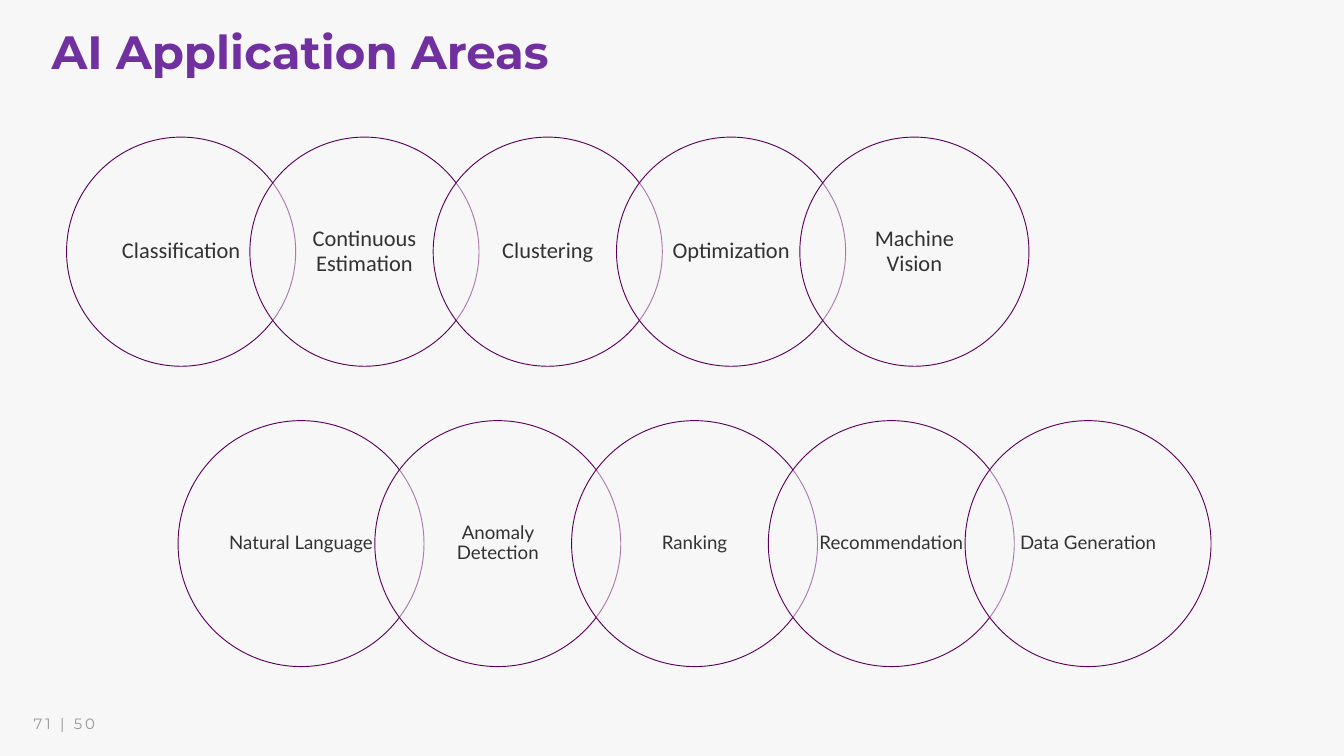
from lxml.etree import SubElement
from pptx import Presentation
from pptx.dml.color import RGBColor
from pptx.enum.shapes import MSO_SHAPE as SHAPE
from pptx.enum.text import MSO_ANCHOR as ANCHOR, MSO_AUTO_SIZE as AUTO, PP_ALIGN as ALIGN
from pptx.oxml.ns import qn
from pptx.util import Emu, Pt

SCALE = 9144
COLORS = {
    "background": "F7F7F7",
    "title": "7030A0",
    "outline": "5D005D",
    "label": "323232",
    "footer": "989898",
}
TOP_AREAS = ["Classification", "Continuous Estimation", "Clustering",
             "Optimization", "Machine Vision"]
BOTTOM_AREAS = ["Natural Language", "Anomaly Detection", "Ranking",
                "Recommendation", "Data Generation"]


def px(n):
    """Turn px into EMU."""
    return Emu(round(n * SCALE))


def color(name):
    """Look up a named colour."""
    return RGBColor.from_string(COLORS[name])


def format_text(p, font, size, fill, align, spacing, bold=False):
    """Set the font and line layout of a paragraph."""
    p.alignment, p.line_spacing = align, spacing
    p.font.name, p.font.size, p.font.bold = font, Pt(size), bold
    p.font.color.rgb = color(fill)


def set_margins(tf, x, y):
    """Set the side and the top and bottom margins of a text frame."""
    tf.margin_left = tf.margin_right = px(x)
    tf.margin_top = tf.margin_bottom = px(y)


def add_title(s, x, y, w, h, text):
    """Place and format the slide title."""
    sp = s.shapes.title
    sp.left, sp.top, sp.width, sp.height = map(px, (x, y, w, h))
    tf = sp.text_frame
    tf.text = text
    tf.word_wrap, tf.auto_size = True, AUTO.NONE
    tf.vertical_anchor = ANCHOR.TOP
    format_text(tf.paragraphs[0], "Montserrat", 50, "title", ALIGN.LEFT, 0.9, True)


def add_circle(shapes, x, y, size, text, font, points):
    """Draw one half-transparent circle with its label."""
    sp = shapes.add_shape(SHAPE.OVAL, px(x), px(y), px(size), px(size))
    sp.shadow.inherit = False
    sp.fill.solid()
    sp.fill.fore_color.rgb = color("background")
    srgb = sp.fill._xPr.find(".//" + qn("a:srgbClr"))
    SubElement(srgb, qn("a:alpha"), val="50000")
    sp.line.color.rgb = color("outline")
    sp.line.width = Pt(1)
    tf = sp.text_frame
    tf.text = text
    tf.word_wrap, tf.vertical_anchor = True, ANCHOR.MIDDLE
    set_margins(tf, 19, 3)
    format_text(tf.paragraphs[0], font, points, "label", ALIGN.CENTER, 0.9)


def add_circle_row(s, x, y, size, labels, font, points):
    """Draw a grouped row of circles, each overlapping the next by a fifth."""
    group = s.shapes.add_group_shape()
    for i, label in enumerate(labels):
        add_circle(group.shapes, x + i * size * 0.8, y, size, label, font, points)


def add_page_number(s, x, y, w, h, text):
    """Place the letter-spaced page number."""
    tf = s.shapes.add_textbox(px(x), px(y), px(w), px(h)).text_frame
    tf.word_wrap = True
    set_margins(tf, 0, 0)
    p = tf.paragraphs[0]
    r = p.add_run()
    r.text = text
    r.font._element.set("spc", "300")
    format_text(p, "Montserrat", 16, "footer", ALIGN.LEFT, 1.5)


def main():
    """Build and save the slide."""
    prs = Presentation()
    prs.slide_width, prs.slide_height = px(2000), px(1125)
    s = prs.slides.add_slide(prs.slide_layouts[5])
    s.background.fill.solid()
    s.background.fill.fore_color.rgb = color("background")
    add_page_number(s, 50, 1050, 269, 36, "71 | 50")
    add_title(s, 67, 39, 1401, 129, "AI Application Areas")
    add_circle_row(s, 99, 204, 341, TOP_AREAS, "Calibri", 24)
    add_circle_row(s, 265, 626, 366, BOTTOM_AREAS, "Lato", 20)
    prs.save("out.pptx")


if __name__ == "__main__":
    main()
